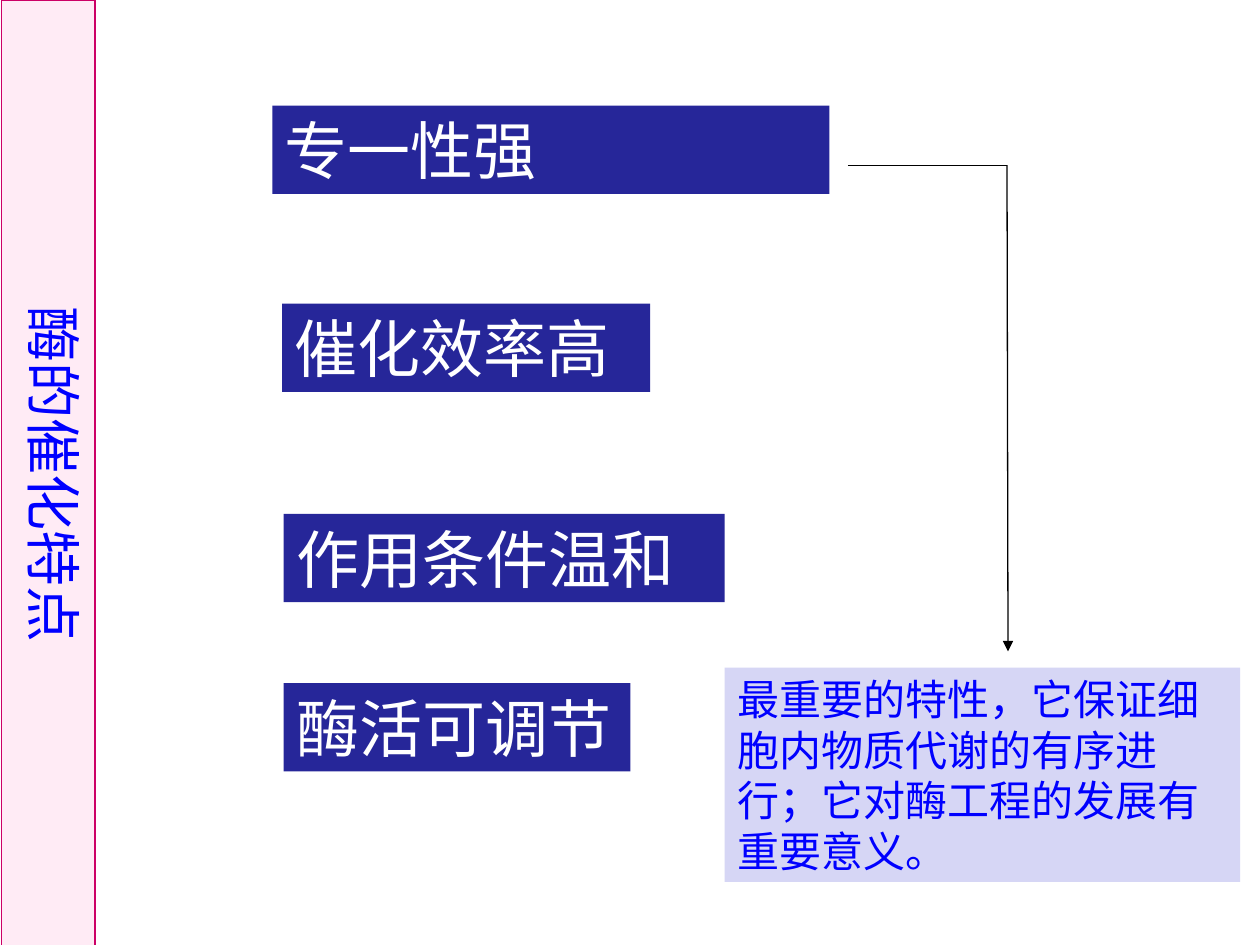
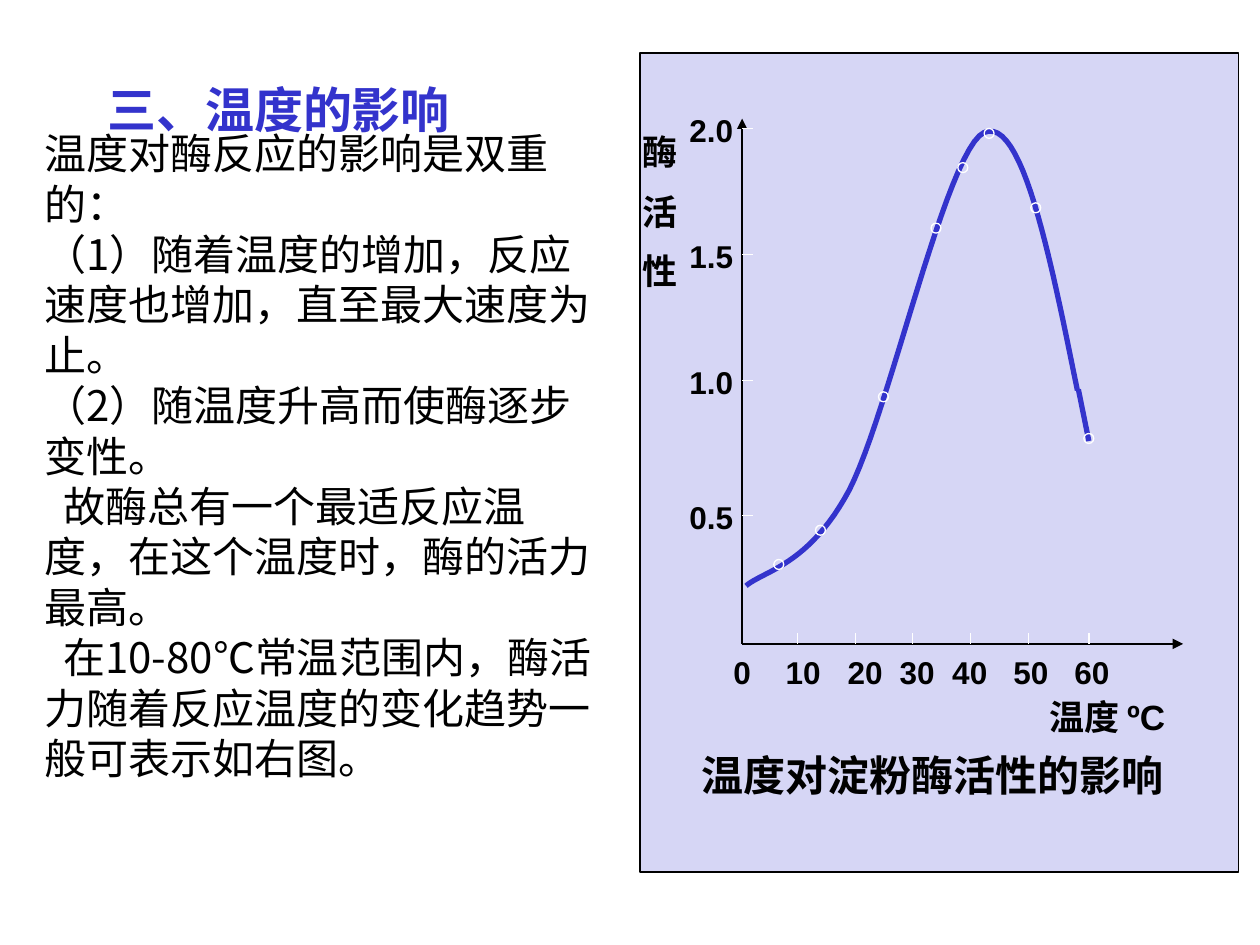
from dataclasses import dataclass

from lxml.etree import SubElement
from pptx import Presentation
from pptx.dml.color import RGBColor
from pptx.enum.shapes import MSO_CONNECTOR, MSO_SHAPE
from pptx.enum.text import MSO_ANCHOR, MSO_AUTO_SIZE, PP_ALIGN
from pptx.oxml.ns import qn
from pptx.util import Cm, Pt


@dataclass(frozen=True)
class Theme:
    black: str = "000000"
    white: str = "FFFFFF"
    blue: str = "0000FF"
    indigo: str = "3333CC"
    navy: str = "262699"
    lavender: str = "D6D6F5"
    pink: str = "FFEBF5"
    magenta: str = "CC0066"
    serif: str = "Times New Roman"
    sans: str = "Arial"
    cjk: str = "Noto Sans CJK SC"
    cjk_band: str = "Noto Sans CJK JP"
    feature: int = 36
    band: int = 32
    title: int = 28
    body: int = 24
    axis_name: int = 20
    tick: int = 18
    thin: float = 0.75
    axis: float = 1.5
    curve: float = 3


T = Theme()
LINE_PITCH = 1.2

FEATURES = [
    ("专一性强", 5.49, 2.13, 11.23),
    ("催化效率高", 5.69, 6.12, 7.42),
    ("作用条件温和", 5.72, 10.36, 8.89),
    ("酶活可调节", 5.72, 13.77, 6.99),
]
NOTE = "最重要的特性，它保证细胞内物质代谢的有序进行；它对酶工程的发展有重要意义。"

# Paragraph text and first-line indent in cm
TEMPERATURE_TEXT = [
    ("温度对酶反应的影响是双重的：", 0),
    ("（1）随着温度的增加，反应速度也增加，直至最大速度为止。", 0),
    ("（2）随温度升高而使酶逐步变性。", 0),
    ("故酶总有一个最适反应温度，在这个温度时，酶的活力最高。", 0.38),
    ("在10-80℃常温范围内，酶活力随着反应温度的变化趋势一般可表示如右图。", 0.38),
]

# Plot geometry in cm
ORIGIN_X, ORIGIN_Y = 14.96, 12.98
X_END, Y_END = 23.85, 2.39
X_TICKS = [16.08, 17.25, 18.39, 19.56, 20.73, 21.95]
X_LABELS = [14.96, 16.19, 17.44, 18.49, 19.55, 20.78, 22.01]
Y_TICKS = [10.39, 7.67, 5.13, 2.59]
TICK = 0.22
LABEL_W, LABEL_H = 1.4, 1.02
MARKER = 0.2
CURVE_TAIL = ((21.74, 7.85), (21.95, 8.89))
CURVE = [
    ((21.72, 7.87), (21.16, 5.11), (20.6, 2.34), (19.84, 2.67)),
    ((19.84, 2.67), (19.08, 3.02), (17.91, 8.36), (17.12, 9.88)),
    ((17.12, 9.88), (16.31, 11.4), (15.39, 11.51), (15.04, 11.81)),
]
MEASUREMENTS = [
    (15.7, 11.38), (16.54, 10.69), (17.81, 8), (18.87, 4.6),
    (19.41, 3.38), (19.94, 2.69), (20.88, 4.19), (21.95, 8.84),
]


def rgb(color):
    return RGBColor.from_string(color)


def set_attrs(obj, values):
    for name, value in values.items():
        setattr(obj, name, value)


def place(sp, x, y, w, h):
    set_attrs(sp, {"left": Cm(x), "top": Cm(y), "width": Cm(w), "height": Cm(h)})


def place_turned(sp, x, y, w, h):
    """Turn the shape clockwise so that it covers the given upright area."""
    place(sp, x + (w - h) / 2, y + (h - w) / 2, h, w)
    sp.rotation = 90


def paint(sp, fill=None, line=None, width=T.thin):
    if fill:
        sp.fill.solid()
        sp.fill.fore_color.rgb = rgb(fill)
    else:
        sp.fill.background()
    if line:
        sp.line.color.rgb = rgb(line)
        sp.line.width = Pt(width)
    else:
        sp.line.fill.background()


def add_run(p, text, size, color, font, bold=False):
    r = p.add_run()
    r.text = text
    set_attrs(r.font, {"size": Pt(size), "name": font, "bold": bold})
    r.font.color.rgb = rgb(color)
    east_asian = font if font == T.cjk_band else T.cjk
    SubElement(r.font._element, qn("a:ea"), typeface=east_asian)


def write(sp, lines, size, color, font, bold=False, wrap=True,
          anchor=MSO_ANCHOR.TOP, grow=False, para=None):
    """Fill the shape with one paragraph per line and return the paragraphs."""
    tf = sp.text_frame
    set_attrs(tf, {
        "word_wrap": wrap,
        "vertical_anchor": anchor,
        "auto_size": MSO_AUTO_SIZE.SHAPE_TO_FIT_TEXT if grow else MSO_AUTO_SIZE.NONE,
    })
    for i, text in enumerate(lines):
        p = tf.paragraphs[0] if i == 0 else tf.add_paragraph()
        set_attrs(p, {"alignment": PP_ALIGN.LEFT, "space_before": Pt(0), **(para or {})})
        p._p.get_or_add_pPr().set("hangingPunct", "0")
        add_run(p, text, size, color, font, bold)
    return tf.paragraphs


def add_box(slide, x, y, w, h, fill=None, line=None, kind=MSO_SHAPE.RECTANGLE):
    sp = slide.shapes.add_shape(kind, Cm(x), Cm(y), Cm(w), Cm(h))
    sp.shadow.inherit = False
    paint(sp, fill, line)
    return sp


def add_label(slide, x, y, w, h, lines, size, font=T.sans, **options):
    sp = slide.shapes.add_textbox(Cm(x), Cm(y), Cm(w), Cm(h))
    return write(sp, lines, size, T.black, font, bold=True, **options)


def add_tick_label(slide, center_x, center_y, text):
    add_label(slide, center_x - LABEL_W / 2, center_y - LABEL_H / 2, LABEL_W, LABEL_H,
              [text], T.tick, wrap=False, para={"alignment": PP_ALIGN.CENTER})


def add_line(slide, start, end, color=T.black, width=T.thin, arrow=False):
    cx = slide.shapes.add_connector(MSO_CONNECTOR.STRAIGHT, *map(Cm, start + end))
    cx.line.color.rgb = rgb(color)
    cx.line.width = Pt(width)
    if arrow:
        SubElement(cx.line._get_or_add_ln(), qn("a:tailEnd"), type="triangle")
    SubElement(cx._element.spPr, qn("a:effectLst"))


def bezier(points, steps=24):
    """Sample a cubic curve, leaving out its last point."""
    for i in range(steps):
        t = i / steps
        weights = ((1 - t) ** 3, 3 * t * (1 - t) ** 2, 3 * t * t * (1 - t), t ** 3)
        yield tuple(sum(k * pt[axis] for k, pt in zip(weights, points))
                    for axis in (0, 1))


def add_curve(slide):
    points = [*(pt for part in CURVE for pt in bezier(part)), CURVE[-1][-1]]
    points = [(Cm(x), Cm(y)) for x, y in points]
    builder = slide.shapes.build_freeform(*points[0])
    builder.add_line_segments(points[1:], close=False)
    sp = builder.convert_to_shape()
    sp.shadow.inherit = False
    paint(sp, line=T.indigo, width=T.curve)
    add_line(slide, *CURVE_TAIL, T.indigo, T.curve)


def add_axes(slide):
    origin = (ORIGIN_X, ORIGIN_Y)
    add_line(slide, origin, (ORIGIN_X, Y_END), width=T.axis, arrow=True)
    add_line(slide, origin, (X_END, ORIGIN_Y), width=T.axis, arrow=True)
    for x in X_TICKS:
        add_line(slide, (x, ORIGIN_Y - TICK), (x, ORIGIN_Y), T.white)
    for i, x in enumerate(X_LABELS):
        add_tick_label(slide, x, ORIGIN_Y + 0.56, str(i * 10))
    for i, y in enumerate(Y_TICKS, 1):
        add_line(slide, (ORIGIN_X, y), (ORIGIN_X + TICK, y), T.white)
        add_tick_label(slide, ORIGIN_X - 0.62, y + 0.03, f"{i * 0.5:.1f}")


def build_features_slide(prs):
    slide = prs.slides.add_slide(prs.slide_layouts[5])
    band = slide.shapes.title
    place_turned(band, 0.03, 0, 1.88, 19.13)
    paint(band, T.pink, T.magenta, 1)
    write(band, ["酶的催化特点"], T.band, T.blue, T.cjk_band,
          para={"alignment": PP_ALIGN.CENTER})

    for text, x, y, w in FEATURES:
        write(add_box(slide, x, y, w, 1.78, T.navy), [text], T.feature, T.white, T.serif)
    note = add_box(slide, 14.61, 13.46, 10.39, 4.32, T.lavender)
    write(note, [NOTE], T.body, T.blue, T.serif,
          para={"line_spacing": Pt(T.body * LINE_PITCH)})

    corner = (20.3, 3.33)
    add_line(slide, (17.09, 3.33), corner)
    add_line(slide, corner, (20.32, 13.13), arrow=True)


def build_temperature_slide(prs):
    slide = prs.slides.add_slide(prs.slide_layouts[1])
    title, body = slide.placeholders
    place(title, 1.91, 1.47, 7.47, 1.45)
    write(title, ["三、温度的影响"], T.title, T.indigo, T.serif, bold=True,
          wrap=False, anchor=MSO_ANCHOR.MIDDLE)
    place(body, 0.64, 2.97, 11.86, 12.42)
    paragraphs = write(body, [text for text, _ in TEMPERATURE_TEXT], T.body, T.black,
                       T.cjk, anchor=MSO_ANCHOR.MIDDLE, grow=True,
                       para={"line_spacing": Pt(T.body * LINE_PITCH)})
    for p, (_, indent) in zip(paragraphs, TEMPERATURE_TEXT):
        pPr = p._p.get_or_add_pPr()
        pPr.set("marL", "0")
        pPr.set("indent", str(Cm(indent)))
        SubElement(pPr, qn("a:buNone"))

    add_box(slide, 12.9, 1.07, 12.07, 16.51, T.lavender, T.black)
    add_curve(slide)
    add_axes(slide)
    for x, y in MEASUREMENTS:
        add_box(slide, x - MARKER / 2, y - MARKER / 2, MARKER, MARKER,
                line=T.white, kind=MSO_SHAPE.FLOWCHART_CONNECTOR)
    axis_name = add_label(slide, 12.7, 2.51, 1.27, 4.9, ["酶", "活", "性"], T.axis_name,
                          para={"line_spacing": Pt(T.axis_name * LINE_PITCH)})
    for p in axis_name[1:]:
        p.space_before = Pt(T.axis_name / 2)
    add_label(slide, 20.9, 13.89, 3.48, 1.09, ["温度 ºC"], T.axis_name, wrap=False)
    add_label(slide, 13.89, 14.99, 10.08, 1.27, ["温度对淀粉酶活性的影响"], T.body,
              font=T.serif, wrap=False)


def main():
    prs = Presentation()
    set_attrs(prs, {"slide_width": Cm(25.4), "slide_height": Cm(19.05)})
    build_features_slide(prs)
    build_temperature_slide(prs)
    prs.save("out.pptx")


if __name__ == "__main__":
    main()
